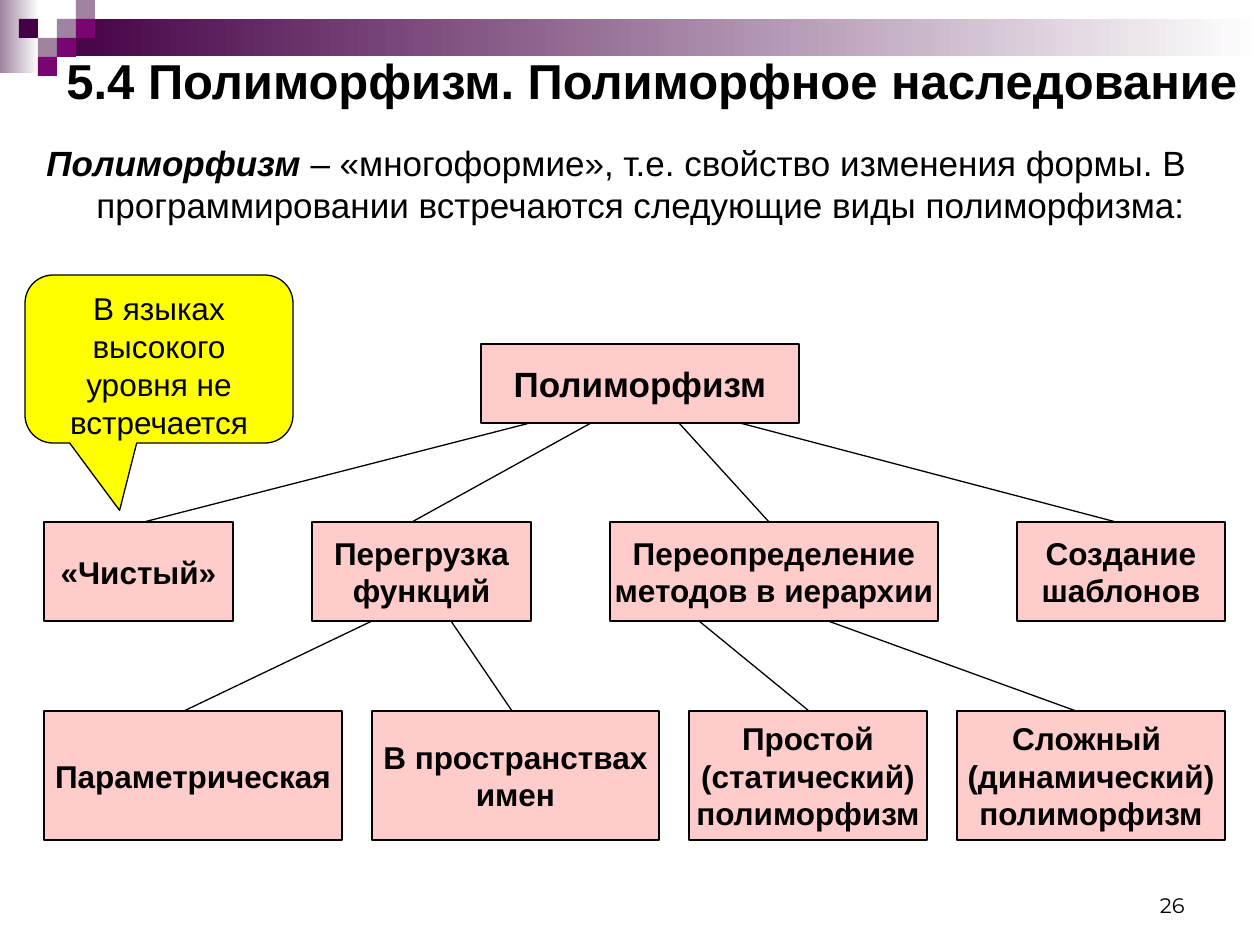
from itertools import accumulate
from lxml import etree
from pptx import Presentation
from pptx import util as u
from pptx.dml.color import RGBColor
from pptx.enum import shapes, text
from pptx.oxml.ns import qn

PX = 914400 / 126
C = {"black": "000000", "white": "FFFFFF", "dark": "440044", "plum": "790571",
     "mauve": "9F839F", "pink": "FFCCCC", "yellow": "FFFF00"}
MSO, ANCHOR, ALIGN = shapes.MSO_SHAPE, text.MSO_ANCHOR, text.PP_ALIGN


def px(*lengths):
    return [u.Emu(round(n * PX)) for n in lengths]


def rgb(name):
    return RGBColor.from_string(C[name])


def add_shape(s, box, fill, kind=MSO.RECTANGLE, outlined=False):
    sp = s.shapes.add_shape(kind, *px(*box))
    sp.shadow.inherit = False
    sp.fill.solid()
    sp.fill.fore_color.rgb = rgb(fill)
    if outlined:
        sp.line.color.rgb = rgb("black")
        sp.line.width = u.Pt(0.75)
    else:
        sp.line.fill.background()
    return sp


def add_fade(s, box, colour):
    """Rectangle fading to white from left to right."""
    sp = add_shape(s, box, colour)
    sp.fill.gradient()
    sp.fill.gradient_angle = 0
    for stop, name, pos in zip(sp.fill.gradient_stops, (colour, "white"), (0, 1)):
        stop.color.rgb = rgb(name)
        stop.position = pos


def write(sp, words, size, bold=False, align=ALIGN.LEFT, anchor=ANCHOR.TOP,
          wrap=True, font="Arial"):
    tf = sp.text_frame
    tf.text = words
    tf.word_wrap = wrap
    tf.vertical_anchor = anchor
    for p in tf.paragraphs:
        p.alignment = align
        for r in p.runs:
            r.font.name, r.font.size, r.font.bold = font, u.Pt(size), bold
            r.font.color.rgb = rgb("black")
    return tf


def add_text(s, box, words, size, **style):
    return write(s.shapes.add_textbox(*px(*box)), words, size, **style)


def add_line(s, x1, y1, x2, y2):
    ln = s.shapes.add_connector(shapes.MSO_CONNECTOR.STRAIGHT, *px(x1, y1, x2, y2))
    ln.line.color.rgb = rgb("black")
    ln.line.width = u.Pt(0.75)
    etree.SubElement(ln._element.spPr, qn("a:effectLst"))


def header(s, x, y, w):
    """Fading bars with a checker pattern of small squares."""
    cell = 19
    add_fade(s, (x, y, 39, 73), "mauve")
    add_fade(s, (x + 3 * cell, y + cell, w - 3 * cell, 2 * cell - 1), "dark")
    squares = [(3, 1, "mauve"), (4, 0, "mauve"), (4, 1, "plum"), (2, 2, "mauve"),
               (1, 1, "dark"), (3, 2, "plum"), (2, 3, "plum")]
    for col, row, colour in squares:
        add_shape(s, (x + col * cell, y + row * cell, cell, cell), colour)


def definition(s, x, y, w, h):
    tf = add_text(s, (x, y, w, h), "Полиморфизм", 20, bold=True)
    p = tf.paragraphs[0]
    p.runs[0].font.italic = True
    r = p.add_run()
    r.text = (" – «многоформие», т.е. свойство изменения формы. "
              "В программировании встречаются следующие виды полиморфизма:")
    r.font.name, r.font.size = "Arial", u.Pt(20)
    r.font.color.rgb = rgb("black")
    pPr = p._p.get_or_add_pPr()
    pPr.set("marL", str(px(50)[0]))
    pPr.set("indent", str(px(-50)[0]))


def node(s, box, words, size=18):
    sp = add_shape(s, box, "pink", outlined=True)
    write(sp, words, size, bold=True, align=ALIGN.CENTER,
          anchor=ANCHOR.MIDDLE, wrap=False)


def node_row(s, x, y, h, gap, nodes):
    lefts = accumulate((w + gap for w, _ in nodes), initial=x)
    for left, (w, words) in zip(lefts, nodes):
        node(s, (left, y, w, h), words)


def tree(s, x, y):
    root_h, kinds_y, kinds_h, forms_y = 79, 178, 99, 367
    links = [
        (root_h, kinds_y, [(486, 100), (547, 368), (635, 725), (696, 1072)]),
        (kinds_y + kinds_h, forms_y,
         [(328, 140), (407, 468), (655, 765), (784, 1032)]),
    ]
    for top, bottom, ends in links:
        for x1, x2 in ends:
            add_line(s, x + x1, y + top, x + x2, y + bottom)
    node(s, (x + 437, y, 318, root_h), "Полиморфизм", 20)
    node_row(s, x, y + kinds_y, kinds_h, 79, [
        (189, "«Чистый»"), (219, "Перегрузка\nфункций"),
        (328, "Переопределение\nметодов в иерархии"), (208, "Создание\nшаблонов")])
    node_row(s, x, y + forms_y, 129, 30, [
        (298, "Параметрическая"), (287, "В пространствах\nимен"),
        (238, "Простой\n(статический)\nполиморфизм"),
        (268, "Сложный \n(динамический)\nполиморфизм")])


def callout(s, *box):
    sp = add_shape(s, box, "yellow", MSO.ROUNDED_RECTANGULAR_CALLOUT, outlined=True)
    for i, value in enumerate((-0.147, 0.901, 0.167)):
        sp.adjustments[i] = value
    write(sp, "В языках высокого уровня не встречается", 18, align=ALIGN.CENTER)


def main():
    prs = Presentation()
    prs.slide_width, prs.slide_height = px(1260, 945)
    s = prs.slides.add_slide(prs.slide_layouts[6])
    header(s, 0, 0, 1260)
    add_text(s, (903, 861, 294, 63), "26", 12, align=ALIGN.RIGHT,
             anchor=ANCHOR.BOTTOM, font="Montserrat")
    add_text(s, (54, 35, 1206, 90), "5.4 Полиморфизм. Полиморфное наследование",
             28, bold=True, anchor=ANCHOR.MIDDLE)
    tree(s, 44, 344)
    definition(s, 34, 135, 1171, 97)
    callout(s, 25, 275, 268, 168)
    prs.save("out.pptx")


if __name__ == "__main__":
    main()
